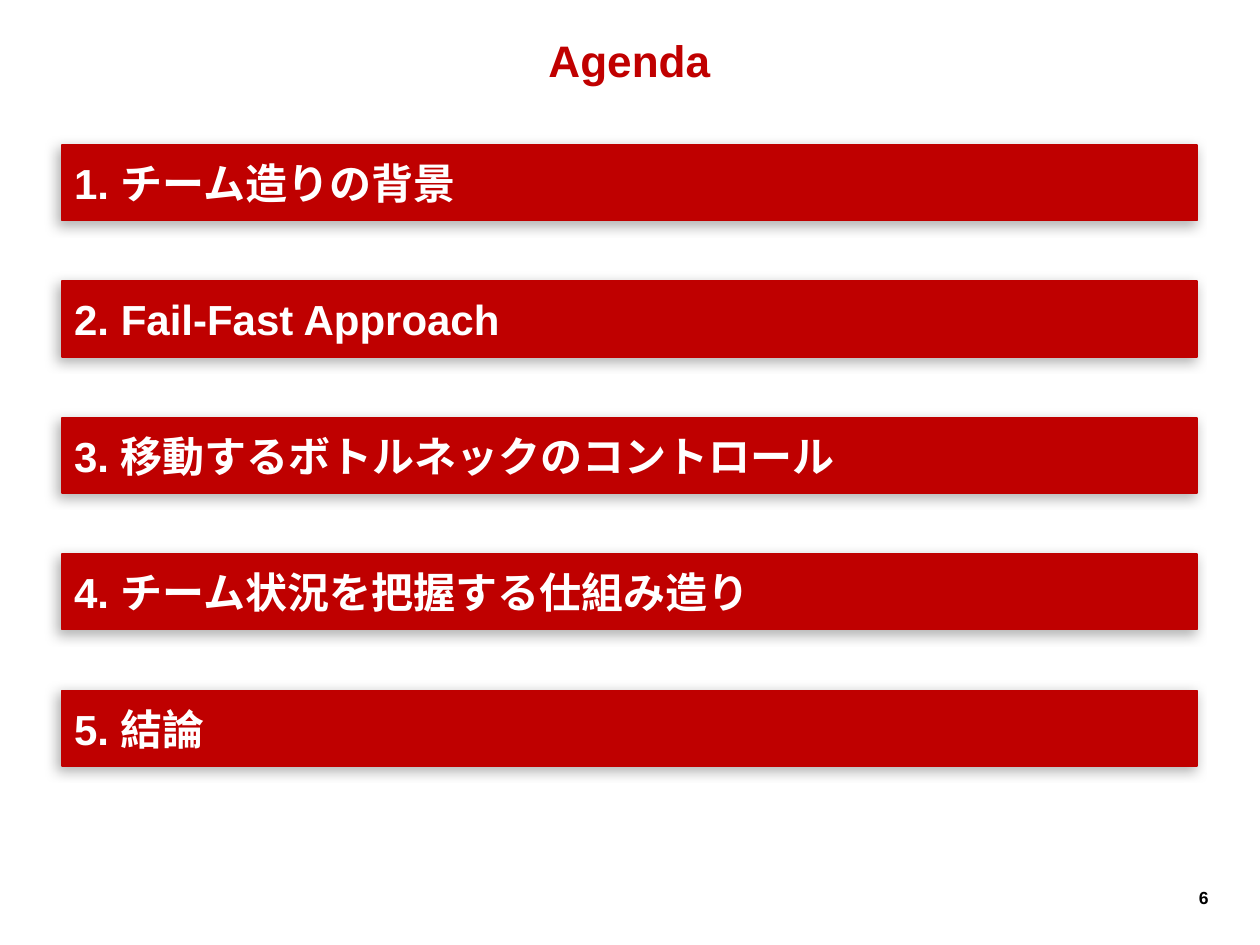
from lxml import etree
from pptx import Presentation
from pptx.dml.color import RGBColor
from pptx.enum.shapes import MSO_SHAPE
from pptx.enum.text import MSO_ANCHOR, PP_ALIGN
from pptx.oxml.ns import qn
from pptx.util import Inches, Pt

RECTANGLE = MSO_SHAPE.RECTANGLE
MIDDLE = MSO_ANCHOR.MIDDLE
LEFT, CENTER, RIGHT = PP_ALIGN.LEFT, PP_ALIGN.CENTER, PP_ALIGN.RIGHT

TITLE_RED = RGBColor(0xC0, 0x00, 0x00)
BAR_RED = RGBColor(0xBF, 0x00, 0x00)
WHITE = RGBColor(0xFF, 0xFF, 0xFF)
BLACK = RGBColor(0x00, 0x00, 0x00)

TOPICS = [
    "1. チーム造りの背景",
    "2. Fail-Fast Approach",
    "3. 移動するボトルネックのコントロール",
    "4. チーム状況を把握する仕組み造り",
    "5. 結論",
]
BAR_HEIGHT = 0.6


def write_text(shape, text, size, color, align, **frame_format):
    frame = shape.text_frame
    for name, value in frame_format.items():
        setattr(frame, name, value)
    para = frame.paragraphs[0]
    para.alignment = align
    span = para.add_run()
    span.text = text
    span.font.color.rgb = color
    font_format = {"name": "Arial", "size": Pt(size), "bold": True}
    for name, value in font_format.items():
        setattr(span.font, name, value)


def add_soft_shadow(shape):
    shape.shadow.inherit = False
    effects = shape._element.spPr.find(qn("a:effectLst"))
    shadow = etree.SubElement(
        effects, qn("a:outerShdw"), blurRad=str(Pt(7)), dist=str(Pt(3)),
        dir=str(135 * 60000), algn="tl", rotWithShape="0")
    color = etree.SubElement(shadow, qn("a:srgbClr"), val=str(BLACK))
    etree.SubElement(color, qn("a:alpha"), val="30000")


def place_title(page, left, top, width, height):
    title = page.shapes.title
    place = {"left": left, "top": top, "width": width, "height": height}
    for name, value in place.items():
        setattr(title, name, Inches(value))
    write_text(title, "Agenda", 25.2, TITLE_RED, CENTER,
               vertical_anchor=MIDDLE, margin_top=0, margin_bottom=0)


def place_agenda(page, left, top, width, height):
    pitch = (height - BAR_HEIGHT) / (len(TOPICS) - 1)
    for index, topic in enumerate(TOPICS):
        bar = page.shapes.add_shape(
            RECTANGLE, Inches(left), Inches(top + index * pitch),
            Inches(width), Inches(BAR_HEIGHT))
        bar.fill.solid()
        bar.fill.fore_color.rgb = BAR_RED
        bar.line.color.rgb = BAR_RED
        bar.line.width = Pt(1)
        add_soft_shadow(bar)
        write_text(bar, topic, 24, WHITE, LEFT,
                   vertical_anchor=MIDDLE, word_wrap=True)


def place_page_number(page, left, top, width, height):
    box = page.shapes.add_textbox(
        Inches(left), Inches(top), Inches(width), Inches(height))
    write_text(box, "6", 10, BLACK, RIGHT, word_wrap=False)


def main():
    deck = Presentation()
    deck.slide_width, deck.slide_height = Inches(10), Inches(7.5)
    page = deck.slides.add_slide(deck.slide_layouts[5])
    place_title(page, 0.39, 0.28, 9.21, 0.39)
    place_agenda(page, 0.49, 1.15, 9.01, 4.93)
    place_page_number(page, 9.41, 6.99, 0.28, 0.27)
    deck.save("out.pptx")


if __name__ == "__main__":
    main()
